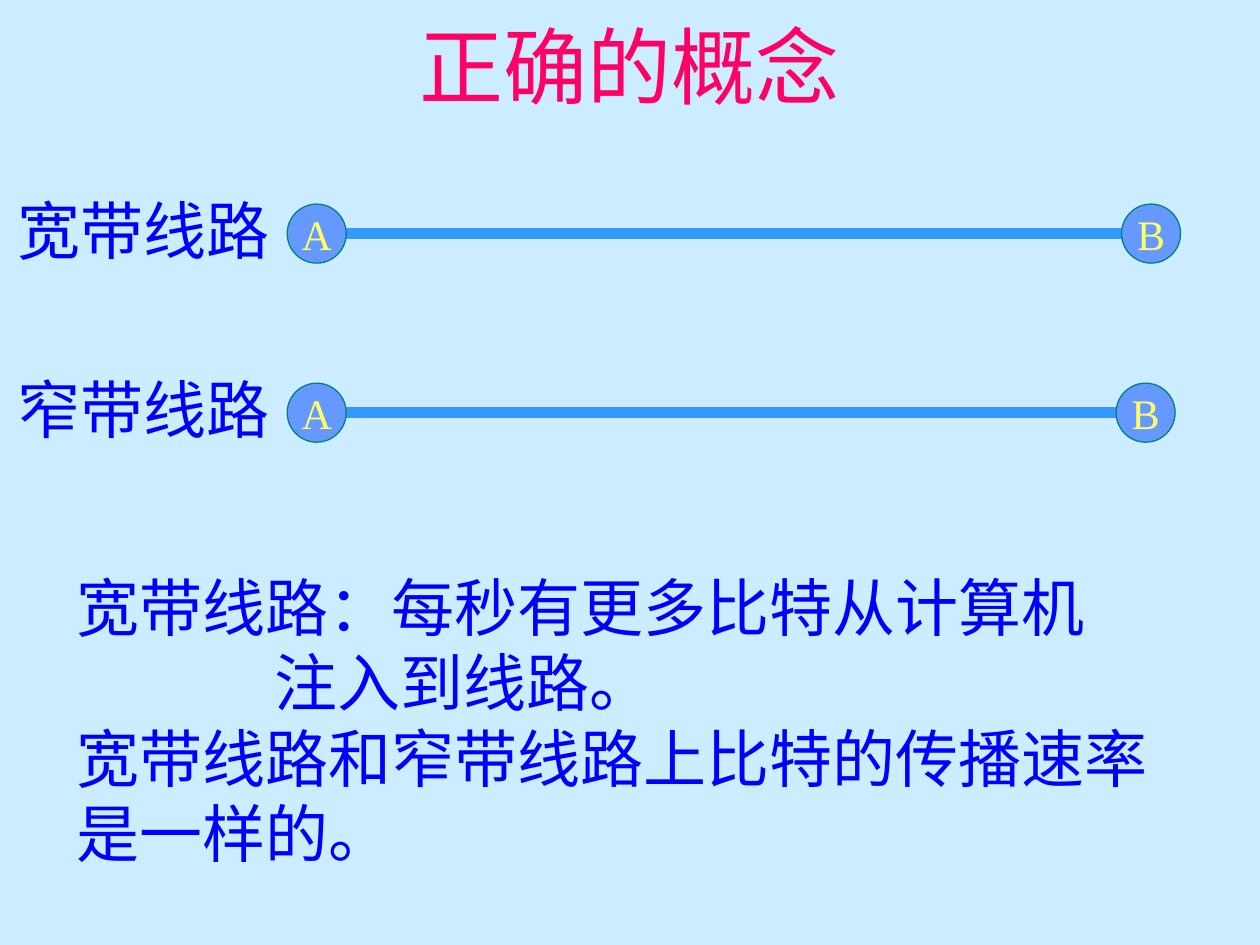
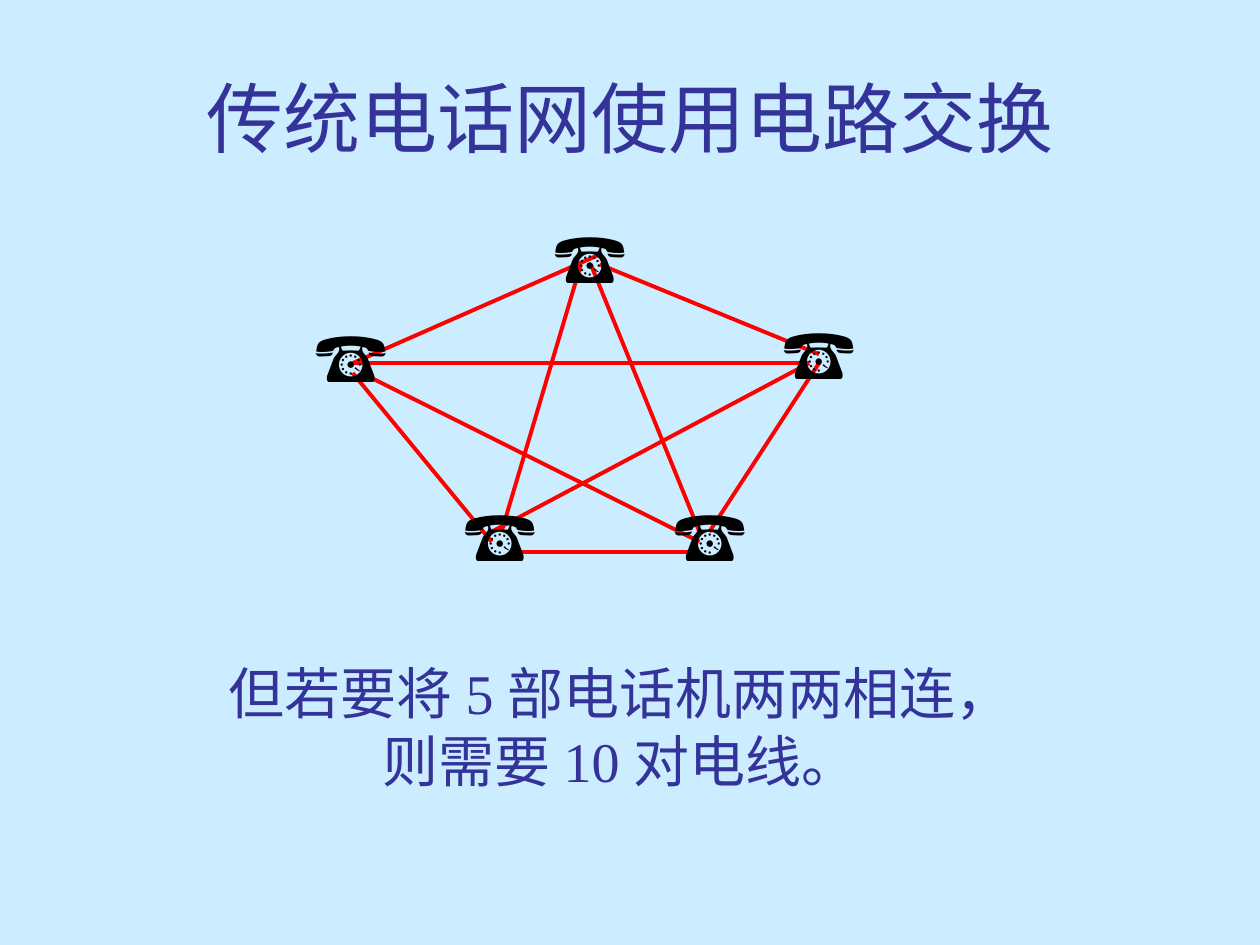
from dataclasses import dataclass
from lxml.etree import SubElement as Sub
from pptx import Presentation
from pptx.dml.color import RGBColor as Rgb
from pptx.enum.shapes import MSO_CONNECTOR as Conn, MSO_SHAPE as Geo
from pptx.enum.text import MSO_ANCHOR as Anchor, MSO_AUTO_SIZE as Auto, PP_ALIGN as Align
from pptx.oxml.ns import qn
from pptx.util import Cm, Pt


@dataclass(frozen=True)
class Theme:
    back: str = "CCECFF"
    pink: str = "FF0066"
    navy: str = "333399"
    blue: str = "0000FF"
    node: str = "6699FF"
    edge: str = "008080"
    letter: str = "FFFF66"
    link: str = "3399FF"
    wire: str = "FF0000"
    black: str = "000000"
    serif: str = "Times New Roman"
    sans: str = "Arial"
    head: int = 48
    sub: int = 44
    phone: int = 40
    body: int = 36
    note: int = 32
    mark: int = 24


class Deck:
    def __init__(self, theme):
        self.theme = theme
        self.prs = Presentation()
        self.prs.slide_width, self.prs.slide_height = Cm(25.4), Cm(19.05)
        self.slide = None

    def style(self, frame, size, color, font, align):
        for para in frame.paragraphs:
            para.alignment = align
            for run in para.runs:
                run.font.size = Pt(size)
                run.font.name = font
                run.font.color.rgb = Rgb.from_string(color)

    def page(self, title, top, size, color):
        self.slide = self.prs.slides.add_slide(self.prs.slide_layouts[5])
        fill = self.slide.background.fill
        fill.solid()
        fill.fore_color.rgb = Rgb.from_string(self.theme.back)
        shape = self.slide.shapes.title
        shape.left, shape.top = Cm(1.27), Cm(top)
        shape.width, shape.height = Cm(22.86), Cm(3.18)
        frame = shape.text_frame
        frame.text = title
        frame.auto_size = Auto.NONE
        frame.vertical_anchor = Anchor.MIDDLE
        self.style(frame, size, color, self.theme.sans, Align.CENTER)

    def text(self, words, box, size, color, font, align=Align.LEFT, wrap=False):
        frame = self.slide.shapes.add_textbox(*map(Cm, box)).text_frame
        frame.text = words
        frame.word_wrap = wrap
        frame.auto_size = Auto.SHAPE_TO_FIT_TEXT
        self.style(frame, size, color, font, align)
        return frame

    def line(self, start, end, color, width):
        ends = map(Cm, (*start, *end))
        line = self.slide.shapes.add_connector(Conn.STRAIGHT, *ends)
        line.line.color.rgb = Rgb.from_string(color)
        line.line.width = Pt(width)
        Sub(line._element.spPr, qn("a:effectLst"))

    def node(self, name, left, mid, size=1.19):
        look = self.theme
        box = map(Cm, (left, mid - size / 2, size, size))
        shape = self.slide.shapes.add_shape(Geo.OVAL, *box)
        shape.shadow.inherit = False
        shape.fill.solid()
        shape.fill.fore_color.rgb = Rgb.from_string(look.node)
        shape.line.color.rgb = Rgb.from_string(look.edge)
        shape.line.width = Pt(0.75)
        frame = shape.text_frame
        frame.text = name
        frame.word_wrap = False
        frame.vertical_anchor = Anchor.MIDDLE
        self.style(frame, look.mark, look.letter, look.serif, Align.CENTER)


def bands(deck):
    look = deck.theme
    deck.page("正确的概念", -0.28, look.head, look.pink)
    rows = (
        ("宽带线路", 4.71, 5.89, 23.5, 22.61),
        ("窄带线路", 8.32, 6.4, 22.61, 22.5),
    )
    for label, mid, start, end, right in rows:
        deck.line((start, mid), (end, mid), look.link, 6)
        deck.node("A", 5.79, mid)
        deck.node("B", right, mid)
        deck.text(label, (0.1, mid - 0.98, 5.59, 1.78), look.body, look.blue, look.serif)
    words = "宽带线路：每秒有更多比特从计算机\n注入到线路。\n宽带线路和窄带线路上比特的传播速率是一样的。"
    frame = deck.text(words, (1.3, 11.33, 23.01, 6.35), look.body, look.blue, look.serif, wrap=True)
    frame.paragraphs[1]._p.get_or_add_pPr().set("marL", str(Cm(3.98)))


def phones(deck):
    look = deck.theme
    deck.page("传统电话网使用电路交换", 0.76, look.sub, look.navy)
    wires = (
        ((11.71, 5.33), (10.11, 10.72)),
        ((7.29, 7.52), (14.1, 10.92)),
        ((7.11, 7.52), (9.91, 10.92)),
        ((7.11, 7.32), (12.09, 5.13)),
        ((7.11, 7.32), (16.31, 7.32)),
        ((12.09, 5.33), (16.51, 7.14)),
        ((10.31, 11.13), (14.1, 11.13)),
        ((14.3, 10.72), (16.51, 7.32)),
        ((11.91, 5.33), (14.1, 10.72)),
        ((9.91, 10.72), (16.31, 7.32)),
    )
    for start, end in wires:
        deck.line(start, end, look.wire, 2.25)
    words = "但若要将 5 部电话机两两相连，\n则需要 10 对电线。"
    deck.text(words, (4.09, 13.16, 16.84, 2.97), look.note, look.navy, look.serif, Align.CENTER)
    spots = ((10.92, 4.19), (6.12, 6.17), (9.12, 9.78), (15.54, 6.12), (13.34, 9.78))
    for spot in spots:
        deck.text("☎", (*spot, 2.34, 1.96), look.phone, look.black, look.sans)


def main():
    deck = Deck(Theme())
    bands(deck)
    phones(deck)
    deck.prs.save("out.pptx")


if __name__ == "__main__":
    main()
